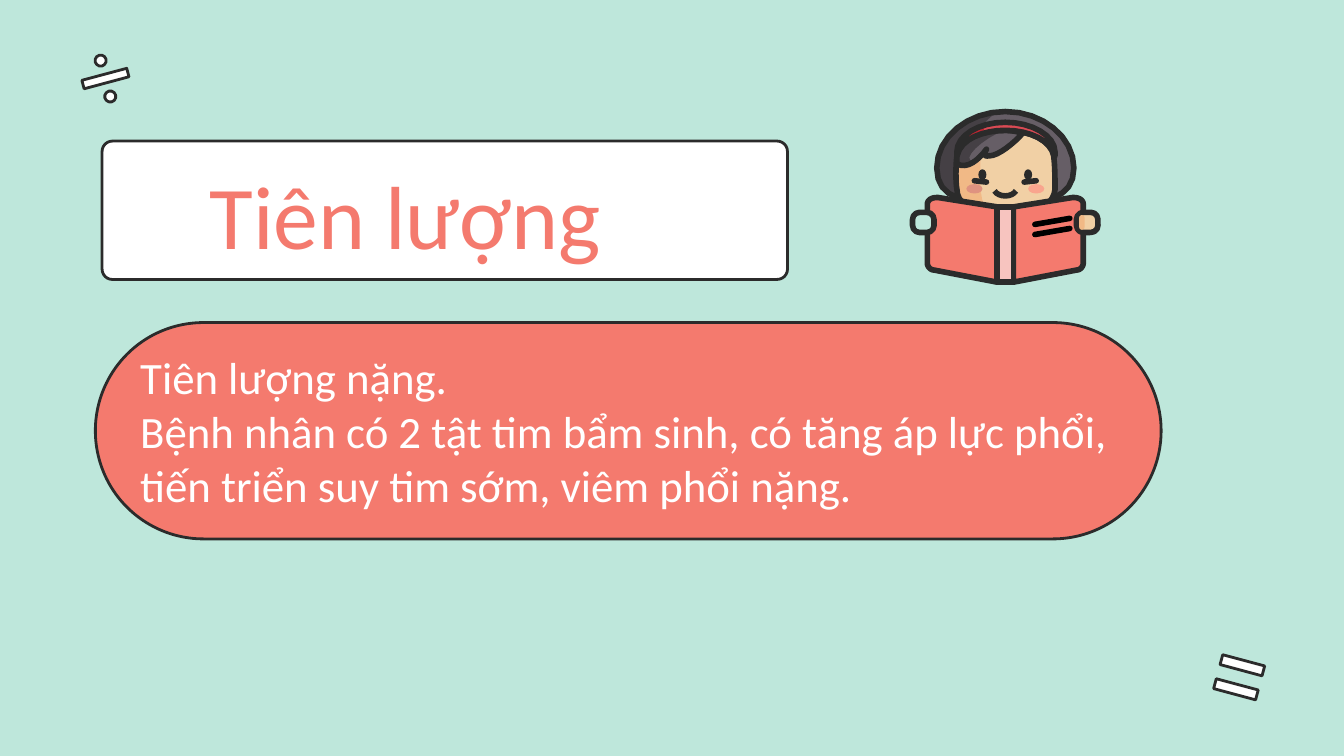
"""Build the prognosis slide with its reading child."""
from dataclasses import dataclass

from lxml.etree import SubElement
from pptx import Presentation
from pptx.dml.color import RGBColor
from pptx.enum.shapes import MSO_CONNECTOR, MSO_SHAPE
from pptx.enum.text import MSO_ANCHOR, PP_ALIGN
from pptx.oxml.ns import qn
from pptx.util import Inches, Pt


@dataclass(frozen=True)
class Theme:
    mint: str = "BEE7DB"
    ink: str = "2B2B2B"
    white: str = "FFFFFF"
    coral: str = "F47A6E"
    pink: str = "F7C4BF"
    hair: str = "665E66"
    shade: str = "454045"
    skin: str = "F1D0A5"
    tan: str = "F1B986"
    red: str = "DA4A54"
    wine: str = "C32430"
    blush: str = "DF9380"
    glow: str = "F9A58E"
    black: str = "000000"
    font: str = "Calibri"
    head: int = 48
    body: int = 24
    thin: float = 1.5
    bold: float = 3


@dataclass(frozen=True)
class Box:
    kind: MSO_SHAPE
    at: tuple[float, float, float, float]
    fill: str | None
    line: float = 0
    adj: tuple[float, ...] = ()
    turn: float = 0


@dataclass(frozen=True)
class Path:
    data: str
    fill: str | None
    line: float = 0
    flip: bool = False


@dataclass(frozen=True)
class Stroke:
    ends: tuple[float, float, float, float]
    color: str


T = Theme()
WIDTH = Inches(10)
HEIGHT = WIDTH * 9 // 16
CELL = WIDTH // 100
DOT = CELL // 10
LEFT, TOP = 677, 81
WIDE = 142
STEPS = 8
ROUND, OVAL, RECT = MSO_SHAPE.ROUNDED_RECTANGLE, MSO_SHAPE.OVAL, MSO_SHAPE.RECTANGLE

SIGNS = (
    Box(MSO_SHAPE.MATH_DIVIDE, (5.5, 3.5, 4.7, 4.7), T.white, T.thin, (0.138, 0.137, 0.088), 345),
    Box(MSO_SHAPE.MATH_EQUAL, (90, 48.2, 4.4, 4.4), T.white, T.thin, (0.173, 0.247), 15),
    Box(ROUND, (7.6, 10.5, 51, 10.3), T.white, T.thin, (0.075,)),
)
PANEL = Box(ROUND, (7.1, 24, 79.3, 16.1), T.coral, T.thin, (0.5,))
TITLE = (-2.1, 8.4, 64.5, 12.5)

DOME = "M 71 2 C 43 2 20 21 20 44 C 20 68 43 70 71 70 C 99 70 122 68 122 44 C 122 21 99 2 71 2 Z"
FACE = ("M 71 16 C 55 16 37 22 35 35 C 34 43 34 54 35 60 C 35 69 44 76 54 76 "
        "L 88 76 C 99 76 107 69 108 60 C 108 52 108 43 107 35 C 105 24 90 16 71 16 Z")
FRINGE = ("M 71 16 C 55 16 37 22 35 35 L 35 41 C 43 45 51 38 57 30 "
          "C 54 36 57 35 59 35 C 66 35 78 25 84 18 C 80 17 75 16 71 16 Z")
BAND = ("M 71 10 C 51 10 35 20 35 32 L 35 35 C 38 22 55 16 71 16 "
        "C 90 16 105 24 108 35 L 108 32 C 108 20 91 10 71 10 Z")
PAGE = "M 20 66 C 16 66 13 68 13 71 L 13 115 C 13 117 15 120 18 120 L 65 129 L 65 73 L 21 66 Z"

CHILD = (
    Path(DOME, T.hair),
    Path("M 71 2 C 43 2 20 21 20 44 C 20 68 43 70 70 70 C 56 70 45 68 45 44 C 45 21 57 2 71 2 Z", T.shade),
    Path(DOME, None, T.bold),
    Path(FACE, T.skin),
    Path("M 53 19 C 43 22 36 28 35 35 L 35 60 C 35 69 44 76 54 76 L 61 76 C 51 73 52 60 53 19 Z", T.tan),
    Path(FACE, None, T.bold),
    Path(FRINGE, T.hair),
    Path("M 71 16 C 55 16 37 22 35 35 L 35 41 C 40 43 45 41 48 39 C 36 39 55 21 71 16 Z", T.shade),
    Path(FRINGE, None, T.bold),
    Box(OVAL, (42, 56, 12, 7), T.blush),
    Box(OVAL, (88, 56, 12, 7), T.glow),
    Path(BAND, T.red),
    Path("M 56 12 C 44 15 35 23 35 32 L 35 35 C 37 26 46 20 54 19 Z", T.wine),
    Path(BAND, None, T.bold),
    Path("M 63 61 C 66 66 76 66 79 61", None, T.bold),
    Box(OVAL, (51, 45, 6, 8), T.ink),
    Box(OVAL, (85, 45, 6, 8), T.ink),
    Stroke((48, 53.5, 57, 54.5), T.ink),
    Stroke((85, 54.5, 94, 53.5), T.ink),
    Path(PAGE, T.coral, T.bold),
    Path(PAGE, T.coral, T.bold, True),
    Box(RECT, (65, 73, 12, 56), T.pink, T.bold),
    Stroke((93, 86, 119, 81.5), T.black),
    Stroke((93, 93.5, 119, 89), T.black),
    Box(ROUND, (2, 77, 16, 15), T.mint, T.bold, (0.35,)),
    Box(ROUND, (124, 77, 16, 15), T.skin, T.bold, (0.35,)),
    Box(ROUND, (126, 79, 4, 11), T.tan, 0, (0.5,)),
)


def tint(color: str) -> RGBColor:
    return RGBColor.from_string(color)


def paint(shape, fill: str | None, line: float) -> None:
    shape.shadow.inherit = False
    if fill:
        shape.fill.solid()
        shape.fill.fore_color.rgb = tint(fill)
    else:
        shape.fill.background()
    if line:
        shape.line.color.rgb = tint(T.ink)
        shape.line.width = Pt(line)
    else:
        shape.line.fill.background()


def place(shapes, box: Box, unit: int = CELL, left: float = 0, top: float = 0):
    x, y, w, h = box.at
    spot = [round(v * unit) for v in (x + left, y + top, w, h)]
    shape = shapes.add_shape(box.kind, *spot)
    for i, value in enumerate(box.adj):
        shape.adjustments[i] = value
    shape.rotation = box.turn
    paint(shape, box.fill, box.line)
    return shape


def curve(a, b, c, d) -> list[tuple[float, float]]:
    spots = []
    for i in range(1, STEPS + 1):
        t = i / STEPS
        parts = ((1 - t) ** 3, 3 * t * (1 - t) ** 2, 3 * t * t * (1 - t), t ** 3)
        spots.append(tuple(sum(k * p[n] for k, p in zip(parts, (a, b, c, d))) for n in (0, 1)))
    return spots


def trace(shapes, path: Path) -> None:
    words, spots = path.data.split(), []
    while words and words[0] != "Z":
        size = 3 if words.pop(0) == "C" else 1
        ends = [(float(words.pop(0)), float(words.pop(0))) for _ in range(size)]
        spots += curve(spots[-1], *ends) if size == 3 else ends
    if path.flip:
        spots = [(WIDE - x, y) for x, y in spots]
    spots = [((x + LEFT) * DOT, (y + TOP) * DOT) for x, y in spots]
    form = shapes.build_freeform(*spots[0])
    form.add_line_segments(spots[1:], close=bool(words))
    paint(form.convert_to_shape(), path.fill, path.line)


def rule(shapes, stroke: Stroke) -> None:
    a, b, c, d = stroke.ends
    ends = [round(v * DOT) for v in (a + LEFT, b + TOP, c + LEFT, d + TOP)]
    line = shapes.add_connector(MSO_CONNECTOR.STRAIGHT, *ends)
    line.line.color.rgb = tint(stroke.color)
    line.line.width = Pt(T.bold)
    props = line._element.spPr
    props.find(qn("a:ln")).set("cap", "rnd")
    SubElement(props, qn("a:effectLst"))


def write(shape, text: str, size: int, color: str, align: PP_ALIGN, anchor: MSO_ANCHOR) -> None:
    frame = shape.text_frame
    frame.word_wrap = True
    frame.vertical_anchor = anchor
    frame.margin_left = frame.margin_right = frame.margin_top = frame.margin_bottom = CELL
    para = frame.paragraphs[0]
    para.text = text
    para.alignment = align
    for run in para.runs:
        run.font.name, run.font.size = T.font, Pt(size)
        run.font.color.rgb = tint(color)


def main() -> None:
    deck = Presentation()
    deck.slide_width, deck.slide_height = WIDTH, HEIGHT
    slide = deck.slides.add_slide(deck.slide_layouts[6])
    slide.background.fill.solid()
    slide.background.fill.fore_color.rgb = tint(T.mint)
    shapes = slide.shapes
    for sign in SIGNS:
        place(shapes, sign)
    title = shapes.add_textbox(*[round(v * CELL) for v in TITLE])
    write(title, "Tiên lượng", T.head, T.coral, PP_ALIGN.CENTER, MSO_ANCHOR.BOTTOM)
    note = ("Tiên lượng nặng.\nBệnh nhân có 2 tật tim bẩm sinh, có tăng áp lực phổi, "
            "tiến triển suy tim sớm, viêm phổi nặng.")
    write(place(shapes, PANEL), note, T.body, T.white, PP_ALIGN.LEFT, MSO_ANCHOR.MIDDLE)
    for part in CHILD:
        if isinstance(part, Path):
            trace(shapes, part)
        elif isinstance(part, Stroke):
            rule(shapes, part)
        else:
            place(shapes, part, DOT, LEFT, TOP)
    deck.save("out.pptx")


if __name__ == "__main__":
    main()
